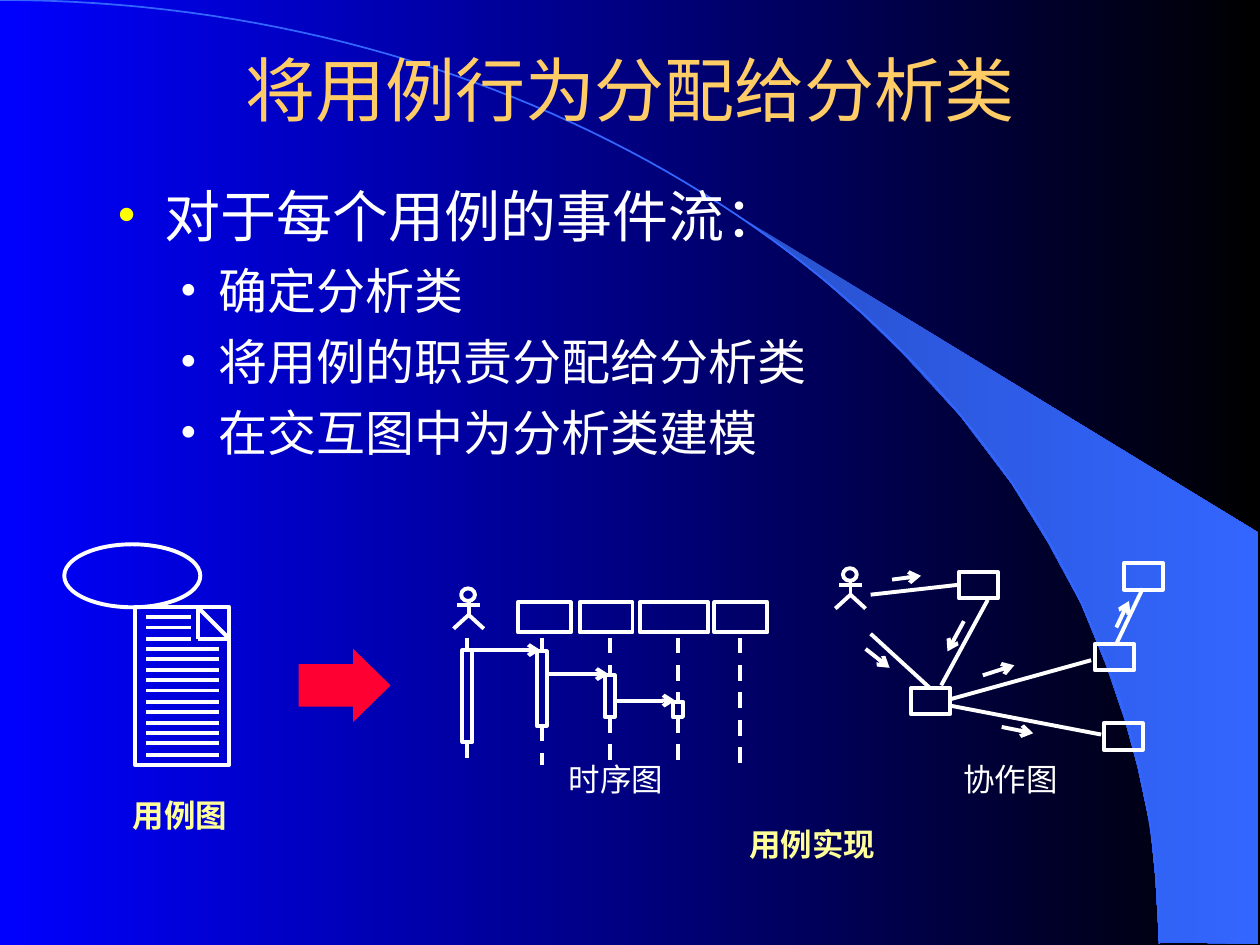
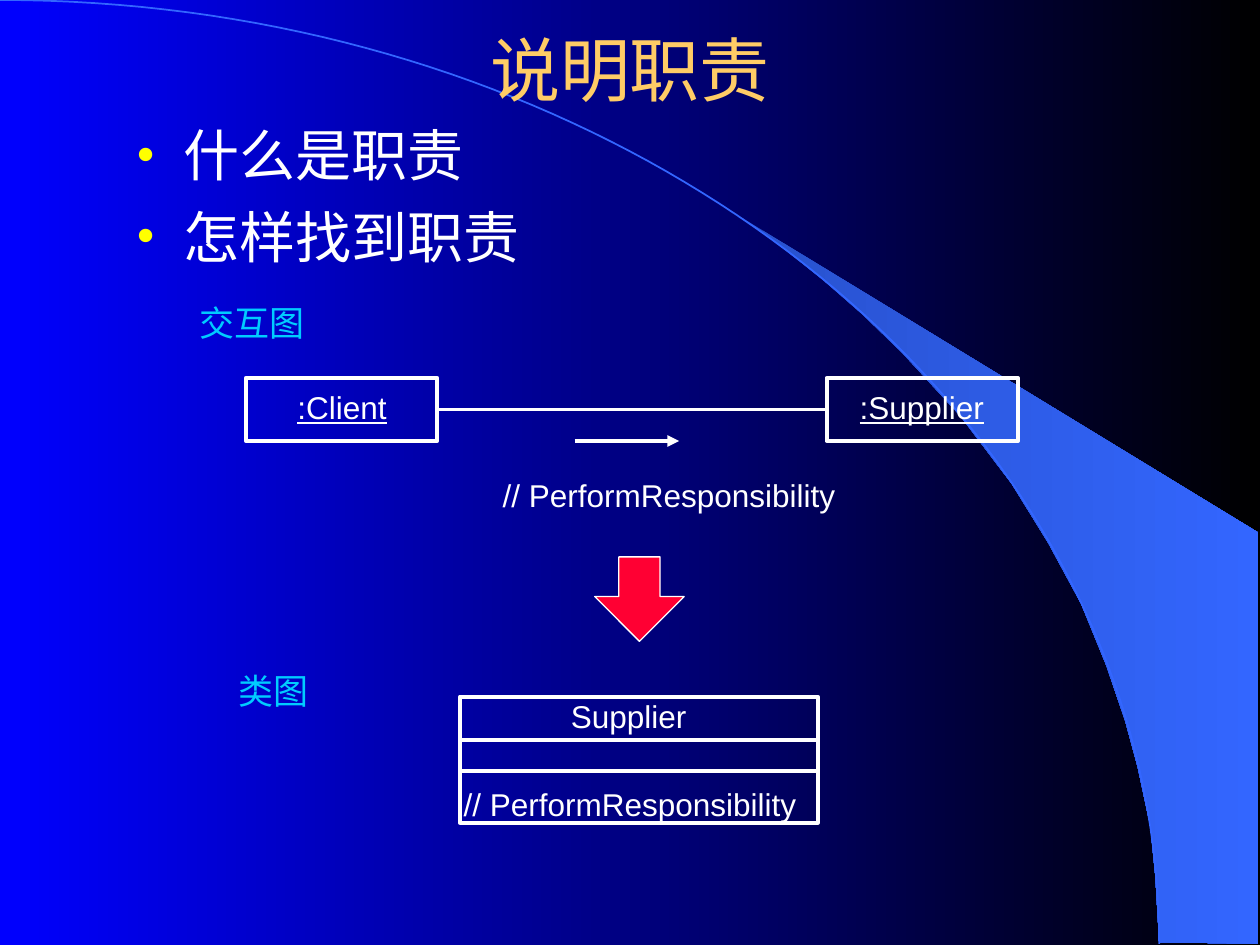
from lxml import etree
from pptx import Presentation
from pptx.dml.color import RGBColor
from pptx.enum.dml import MSO_LINE
from pptx.enum.shapes import MSO_CONNECTOR, MSO_SHAPE
from pptx.enum.text import MSO_ANCHOR, PP_ALIGN
from pptx.oxml.ns import qn
from pptx.util import Pt

PX = 9144  # 100 px to the inch
LINE = MSO_CONNECTOR.STRAIGHT
RECT, OVAL = MSO_SHAPE.RECTANGLE, MSO_SHAPE.OVAL
RIGHT_ARROW, DOWN_ARROW = MSO_SHAPE.RIGHT_ARROW, MSO_SHAPE.DOWN_ARROW
DASH = MSO_LINE.DASH
LEFT, CENTER = PP_ALIGN.LEFT, PP_ALIGN.CENTER
TOP, MIDDLE = MSO_ANCHOR.TOP, MSO_ANCHOR.MIDDLE

COLORS = {
    "white": "FFFFFF", "title": "FFCC66", "caption": "FFFF99", "label": "00CCFF",
    "bullet": "FFFF00", "arrow": "FF0033", "arc": "3366FF",
    "sky": ("0000FF", "000000"), "sweep": ("2851CC", "3366FF"),
}
RGB = {name: RGBColor.from_string(value)
       for name, value in COLORS.items() if isinstance(value, str)}


def draw(page, kind, a, b, c, d, head=None, dashed=False):
    """White line from (a, b) to (c, d), or outlined shape at a, b sized c by d."""
    ends = [value * PX for value in (a, b, c, d)]
    is_line = kind is LINE  # identity, as LINE and RECT share the number 1
    if is_line:
        item = page.shapes.add_connector(kind, *ends)
    else:
        item = page.shapes.add_shape(kind, *ends)
        item.shadow.inherit = False
        item.fill.background()
    item.line.color.rgb = RGB["white"]
    item.line.width = Pt(2.25)
    if dashed:
        item.line.dash_style = DASH
    properties = item._element.spPr
    if head:
        etree.SubElement(properties.find(qn("a:ln")), qn("a:tailEnd"), type=head)
    if is_line:
        etree.SubElement(properties, qn("a:effectLst"))
    return item


def write(page, left, top, width, height, text, size, color="white", font="Arial",
          align=CENTER, anchor=TOP, inset=10, wrap=True, bold=False, underline=False):
    box = page.shapes.add_textbox(left * PX, top * PX, width * PX, height * PX)
    frame = box.text_frame
    frame.margin_left = frame.margin_right = inset * PX
    frame.margin_top = frame.margin_bottom = inset * PX // 2
    frame.word_wrap = wrap
    frame.vertical_anchor = anchor
    frame.text = text
    for para in frame.paragraphs:
        para.alignment = align
        for span in para.runs:
            span.font.name = font
            span.font.size = Pt(size)
            span.font.bold = bold
            span.font.underline = underline
            span.font.color.rgb = RGB[color]
    return frame


deck = Presentation()
deck.slide_width, deck.slide_height = 1000 * PX, 750 * PX

# Shared backdrop, title and bullets
sweep = [(920, 748), (999, 749), (999, 423), (589, 173), (624, 199), (653, 222),
         (685, 250), (716, 280), (762, 330), (803, 384), (832, 431), (858, 479),
         (878, 528), (893, 572), (903, 609), (913, 656), (917, 696)]
steps = [step / 80 for step in range(81)]
arc = [(3 * t * (1 - t) ** 2 * 508 + 3 * t ** 2 * (1 - t) * 920 + t ** 3 * 920,
        3 * t ** 2 * (1 - t) * 335 + t ** 3 * 749) for t in steps]

# Title, its top, place of the bullets, and (level, text) of each bullet
contents = [
    ("将用例行为分配给分析类", 44, (83, 139, 876, 276),
     [(0, "对于每个用例的事件流："), (1, "确定分析类"),
      (1, "将用例的职责分配给分析类"), (1, "在交互图中为分析类建模")]),
    ("说明职责", 28, (98, 91, 876, 458),
     [(0, "什么是职责"), (0, "怎样找到职责")]),
]
# Size, left margin, hanging indent, space before and bullet colour by level
levels = [(32, 38, 38, 8, "bullet"), (28, 81, 31, 7, "white")]

pages = []
for title, title_top, body_place, bullets in contents:
    page = deck.slides.add_slide(deck.slide_layouts[6])
    pages.append(page)

    outlines = []
    for points, closed in ((sweep, True), (arc, False)):
        scaled = [(x * PX, y * PX) for x, y in points]
        builder = page.shapes.build_freeform(*scaled[0], scale=1.0)
        builder.add_line_segments(scaled[1:], close=closed)
        outline = builder.convert_to_shape()
        outline.shadow.inherit = False
        outlines.append(outline)
    sweep_shape, arc_shape = outlines
    sweep_shape.line.fill.background()
    arc_shape.fill.background()
    arc_shape.line.color.rgb = RGB["arc"]
    arc_shape.line.width = Pt(1)

    for fill, pair in ((page.background.fill, "sky"), (sweep_shape.fill, "sweep")):
        fill.gradient()
        fill.gradient_angle = 0
        for stop, color in zip(fill.gradient_stops, COLORS[pair]):
            stop.color.rgb = RGBColor.from_string(color)

    write(page, 75, title_top, 850, 52, title, 40, "title", anchor=MIDDLE)
    frame = write(page, *body_place, "\n".join(text for _, text in bullets), 32,
                  font="Times New Roman", align=LEFT)
    for number, (para, (level, _)) in enumerate(zip(frame.paragraphs, bullets)):
        size, margin, hanging, space, color = levels[level]
        para.level = level
        properties = para._p.get_or_add_pPr()
        properties.set("marL", str(margin * PX))
        properties.set("indent", str(-hanging * PX))
        tint = etree.SubElement(properties, qn("a:buClr"))
        etree.SubElement(tint, qn("a:srgbClr"), val=COLORS[color])
        etree.SubElement(properties, qn("a:buFont"), typeface="Times New Roman")
        etree.SubElement(properties, qn("a:buChar"), char="•")
        para.space_before = Pt(space if number else 0)
        para.runs[0].font.size = Pt(size)

behaviour, responsibility = pages

# Block arrows
for page, kind, place, adjustments in (
        (behaviour, RIGHT_ARROW, (237, 515, 73, 58), (0.58, 0.51)),
        (responsibility, DOWN_ARROW, (472, 442, 71, 67), (0.46, 0.53))):
    arrow = draw(page, kind, *place)
    arrow.fill.solid()
    arrow.fill.fore_color.rgb = RGB["arrow"]
    arrow.line.width = Pt(0.75)
    for index, value in enumerate(adjustments):
        arrow.adjustments[index] = value
    if kind is RIGHT_ARROW:
        arrow.line.fill.background()

# Use case with its document of text lines and folded corner
draw(behaviour, OVAL, 51, 432, 108, 50)
draw(behaviour, RECT, 107, 482, 75, 125)
for fold in ((157, 482, 182, 507), (157, 482, 157, 507), (182, 507, 157, 507)):
    draw(behaviour, LINE, *fold)
for row in range(14):
    y = 490 + round(row * 8.35)
    draw(behaviour, LINE, 116, y, 152 if row < 3 else 174, y)

# Actors of both interaction diagrams
for x, y in ((372, 467), (675, 451)):
    draw(behaviour, OVAL, x - 6, y, 11, 10)
    draw(behaviour, LINE, x, y + 10, x, y + 21)
    draw(behaviour, LINE, x - 9, y + 13, x + 9, y + 13)
    builder = behaviour.shapes.build_freeform(x - 12, y + 32, scale=PX)
    builder.add_line_segments([(x, y + 21), (x + 12, y + 32)], close=False)
    legs = builder.convert_to_shape()
    legs.shadow.inherit = False
    legs.fill.background()
    legs.line.color.rgb = RGB["white"]
    legs.line.width = Pt(2.25)

# Sequence diagram: objects, lifelines with activations, messages
for left, width in ((411, 42), (460, 42), (508, 54), (567, 42)):
    draw(behaviour, RECT, left, 478, width, 24)
for x, start, end in ((371, 516, 589), (430, 517, 576), (484, 536, 569), (538, 557, 569)):
    draw(behaviour, LINE, x, 506, x, start, dashed=True)
    draw(behaviour, RECT, x - 4, start, 8, end - start)
    draw(behaviour, LINE, x, end, x, 607, dashed=True)
draw(behaviour, LINE, 587, 506, 587, 607, dashed=True)
for start, end, y in ((371, 429, 516), (433, 483, 535), (490, 536, 556)):
    draw(behaviour, LINE, start, y, end, y, head="arrow")

# Collaboration diagram: objects, links, messages
for left, top in ((761, 454), (723, 546), (876, 574), (869, 511), (892, 447)):
    draw(behaviour, RECT, left, top, 31, 21)
for link in ((691, 503, 738, 546), (691, 472, 762, 464), (754, 560, 874, 583),
             (754, 555, 866, 524), (886, 511, 907, 467), (784, 476, 747, 544)):
    draw(behaviour, LINE, *link)
for message in ((687, 515, 706, 530), (765, 493, 752, 517), (780, 536, 805, 528),
                (795, 577, 820, 582), (886, 498, 896, 477), (708, 460, 731, 457)):
    draw(behaviour, LINE, *message, head="arrow")

# Captions of the diagrams
for left, top, width, text, color in (
        (43, 627, 200, "用例图", "caption"), (499, 650, 291, "用例实现", "caption"),
        (352, 598, 274, "时序图", "white"), (661, 598, 282, "协作图", "white")):
    write(behaviour, left, top, width, 40, text, 18, color, bold=color == "caption")

# Interaction diagram: client calls supplier
draw(responsibility, LINE, 347, 325, 656, 325)
draw(responsibility, LINE, 456, 350, 539, 350, head="triangle")
write(responsibility, 399, 378, 283, 30, "// PerformResponsibility", 18,
      align=LEFT, inset=0)
for left, name_left, name_width, name in ((195, 236, 71, ":Client"),
                                          (656, 682, 99, ":Supplier")):
    draw(responsibility, RECT, left, 300, 152, 50)
    write(responsibility, name_left, 308, name_width, 30, name, 18,
          inset=0, wrap=False, underline=True)

# Class diagram: name, attributes, operations
draw(responsibility, RECT, 365, 553, 284, 100)
for y in (587, 612):
    draw(responsibility, LINE, 365, y, 649, y)
for left, top, width, text in ((453, 553, 92, "Supplier"),
                               (368, 623, 264, "// PerformResponsibility")):
    write(responsibility, left, top, width, 30, text, 18, inset=0, wrap=False)

# Diagram names
for left, top, width, text in ((146, 233, 163, "交互图"), (177, 525, 147, "类图")):
    write(responsibility, left, top, width, 45, text, 20, "label", align=LEFT, inset=12)

deck.save("out.pptx")
